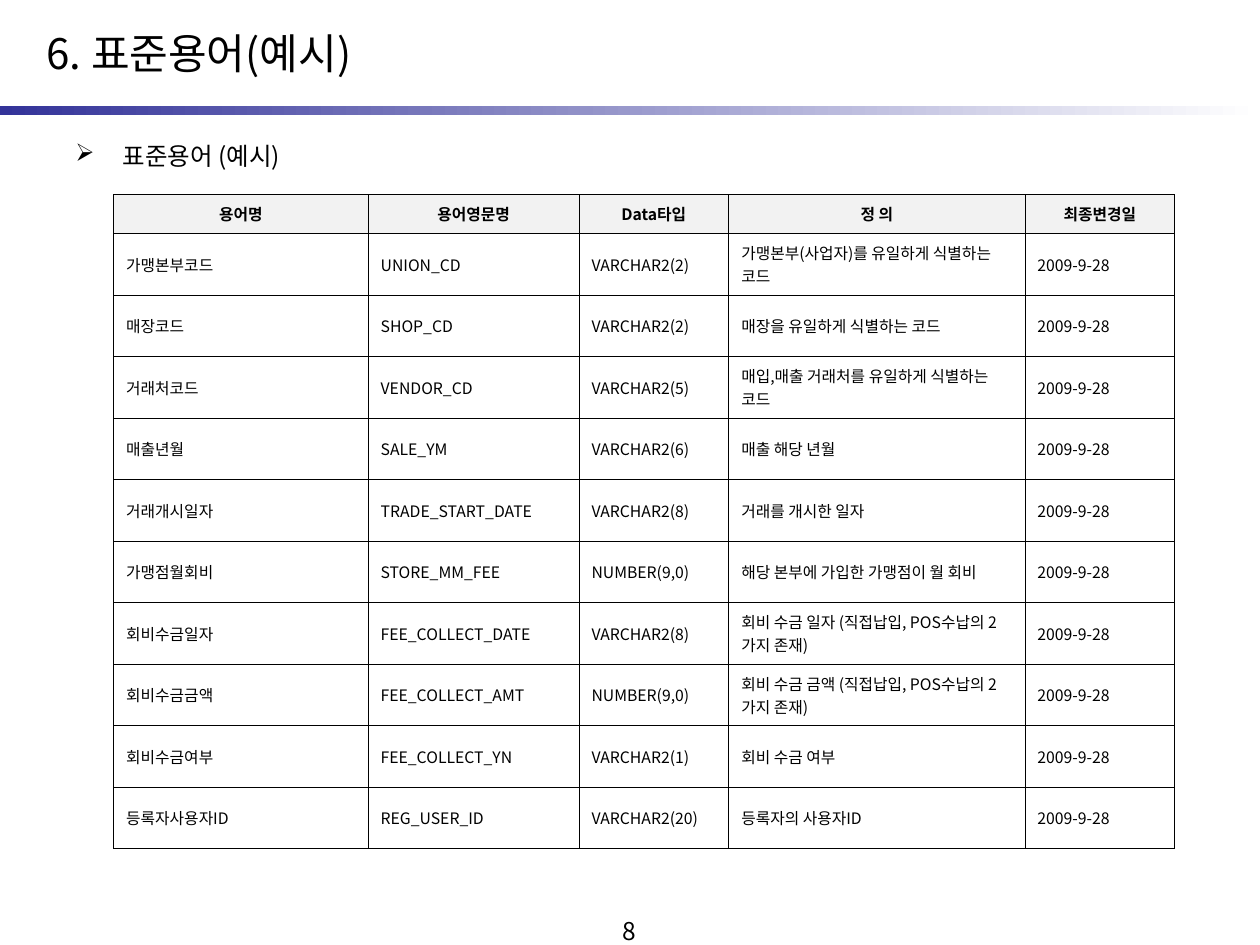
from dataclasses import dataclass

from lxml import etree
from pptx import Presentation
from pptx.dml.color import RGBColor
from pptx.enum.shapes import MSO_SHAPE
from pptx.enum.text import MSO_ANCHOR, MSO_AUTO_SIZE, PP_ALIGN
from pptx.oxml.ns import qn
from pptx.util import Cm, Pt

RECTANGLE = MSO_SHAPE.RECTANGLE
TOP, MIDDLE = MSO_ANCHOR.TOP, MSO_ANCHOR.MIDDLE
LEFT, CENTER = PP_ALIGN.LEFT, PP_ALIGN.CENTER
NO_AUTOFIT = MSO_AUTO_SIZE.NONE

FONT = "Noto Sans CJK KR"
COLORS = {"text": "000000", "border": "000000", "header": "F2F2F2",
          "bar_start": "333399", "bar_end": "FFFFFF"}
BORDER_WIDTH = Pt(0.45)
CHANGED = "2009-9-28"


@dataclass(frozen=True)
class Box:
    left: float
    top: float
    width: float
    height: float

    def lengths(self) -> tuple:
        return Cm(self.left), Cm(self.top), Cm(self.width), Cm(self.height)


@dataclass(frozen=True)
class Column:
    heading: str
    width: float


@dataclass(frozen=True)
class Term:
    name: str
    english: str
    data_type: str
    definition: str
    changed: str = CHANGED

    def values(self) -> tuple:
        return self.name, self.english, self.data_type, self.definition, self.changed


SLIDE_BOX = Box(0, 0, 25.4, 19.05)
TITLE_BOX = Box(0, 0, 25.4, 2.13)
BAR_BOX = Box(0, 2.13, 25.4, 0.2)
SUBTITLE_BOX = Box(1.27, 2.72, 11.3, 14.81)
NUMBER_BOX = Box(9.73, 18.34, 5.92, 0.71)
TABLE_LEFT, TABLE_TOP = 2.29, 3.92
HEADER_HEIGHT, ROW_HEIGHT = 0.79, 1.24

COLUMNS = [
    Column("용어명", 5.13),
    Column("용어영문명", 4.25),
    Column("Data타입", 3.02),
    Column("정 의", 5.97),
    Column("최종변경일", 3.02),
]
TERMS = [
    Term("가맹본부코드", "UNION_CD", "VARCHAR2(2)", "가맹본부(사업자)를 유일하게 식별하는 코드"),
    Term("매장코드", "SHOP_CD", "VARCHAR2(2)", "매장을 유일하게 식별하는 코드"),
    Term("거래처코드", "VENDOR_CD", "VARCHAR2(5)", "매입,매출 거래처를 유일하게 식별하는 코드"),
    Term("매출년월", "SALE_YM", "VARCHAR2(6)", "매출 해당 년월"),
    Term("거래개시일자", "TRADE_START_DATE", "VARCHAR2(8)", "거래를 개시한 일자"),
    Term("가맹점월회비", "STORE_MM_FEE", "NUMBER(9,0)", "해당 본부에 가입한 가맹점이 월 회비"),
    Term("회비수금일자", "FEE_COLLECT_DATE", "VARCHAR2(8)", "회비 수금 일자 (직접납입, POS수납의 2가지 존재)"),
    Term("회비수금금액", "FEE_COLLECT_AMT", "NUMBER(9,0)", "회비 수금 금액 (직접납입, POS수납의 2가지 존재)"),
    Term("회비수금여부", "FEE_COLLECT_YN", "VARCHAR2(1)", "회비 수금 여부"),
    Term("등록자사용자ID", "REG_USER_ID", "VARCHAR2(20)", "등록자의 사용자ID"),
]


def color(name: str) -> RGBColor:
    return RGBColor.from_string(COLORS[name])


def write(text_frame, text: str, size: float, bold: bool = False, align=LEFT):
    paragraph = text_frame.paragraphs[0]
    paragraph.alignment = align
    run = paragraph.add_run()
    run.text = text
    run.font.size = Pt(size)
    run.font.bold = bold
    run.font.name = FONT
    run.font.color.rgb = color("text")
    east_asian = etree.SubElement(run.font._element, qn("a:ea"))
    east_asian.set("typeface", FONT)
    return paragraph


def add_title(slide, text: str) -> None:
    title = slide.shapes.title
    title.left, title.top, title.width, title.height = TITLE_BOX.lengths()
    frame = title.text_frame
    frame.auto_size = NO_AUTOFIT
    frame.vertical_anchor = MIDDLE
    frame.margin_left = Cm(0.94)
    write(frame, text, 24)


def add_gradient_bar(slide) -> None:
    bar = slide.shapes.add_shape(RECTANGLE, *BAR_BOX.lengths())
    bar.shadow.inherit = False
    bar.line.fill.background()
    bar.fill.gradient()
    bar.fill.gradient_angle = 0
    for stop, name in zip(bar.fill.gradient_stops, ("bar_start", "bar_end")):
        stop.color.rgb = color(name)


def add_text(slide, box: Box, text: str, size: float, align=LEFT):
    frame = slide.shapes.add_textbox(*box.lengths()).text_frame
    frame.word_wrap = True
    frame.vertical_anchor = TOP
    return write(frame, text, size, align=align)


def add_bullet(paragraph, character: str) -> None:
    paragraph.space_before = Pt(3.5)
    properties = paragraph._p.get_or_add_pPr()
    properties.set("marL", str(Cm(0.95)))
    properties.set("indent", str(-Cm(0.95)))
    bullet_color = etree.SubElement(properties, qn("a:buClr"))
    etree.SubElement(bullet_color, qn("a:srgbClr")).set("val", COLORS["text"])
    etree.SubElement(properties, qn("a:buChar")).set("char", character)


def add_borders(cell) -> None:
    properties = cell._tc.get_or_add_tcPr()
    for side in ("lnL", "lnR", "lnT", "lnB"):
        line = etree.SubElement(properties, qn(f"a:{side}"), w=str(BORDER_WIDTH))
        fill = etree.SubElement(line, qn("a:solidFill"))
        etree.SubElement(fill, qn("a:srgbClr")).set("val", COLORS["border"])


def fill_cell(cell, text: str, is_header: bool) -> None:
    cell.vertical_anchor = MIDDLE
    add_borders(cell)
    if is_header:
        cell.fill.solid()
        cell.fill.fore_color.rgb = color("header")
    else:
        cell.fill.background()
    write(cell.text_frame, text, 9, is_header, CENTER if is_header else LEFT)


def add_term_table(slide) -> None:
    rows = [tuple(column.heading for column in COLUMNS)]
    rows += [term.values() for term in TERMS]
    box = Box(TABLE_LEFT, TABLE_TOP, sum(column.width for column in COLUMNS),
              HEADER_HEIGHT + ROW_HEIGHT * len(TERMS))
    table = slide.shapes.add_table(len(rows), len(COLUMNS), *box.lengths()).table
    table.horz_banding = False
    for index, column in enumerate(COLUMNS):
        table.columns[index].width = Cm(column.width)
    for row_index, values in enumerate(rows):
        is_header = row_index == 0
        table.rows[row_index].height = Cm(HEADER_HEIGHT if is_header else ROW_HEIGHT)
        for column_index, value in enumerate(values):
            fill_cell(table.cell(row_index, column_index), value, is_header)


def main() -> None:
    presentation = Presentation()
    presentation.slide_width = Cm(SLIDE_BOX.width)
    presentation.slide_height = Cm(SLIDE_BOX.height)
    slide = presentation.slides.add_slide(presentation.slide_layouts.get_by_name("Title Only"))
    add_gradient_bar(slide)
    add_text(slide, NUMBER_BOX, "8", 14, CENTER)
    add_title(slide, "6. 표준용어(예시)")
    add_bullet(add_text(slide, SUBTITLE_BOX, "표준용어 (예시)", 14), "➢")
    add_term_table(slide)
    presentation.save("out.pptx")


if __name__ == "__main__":
    main()
